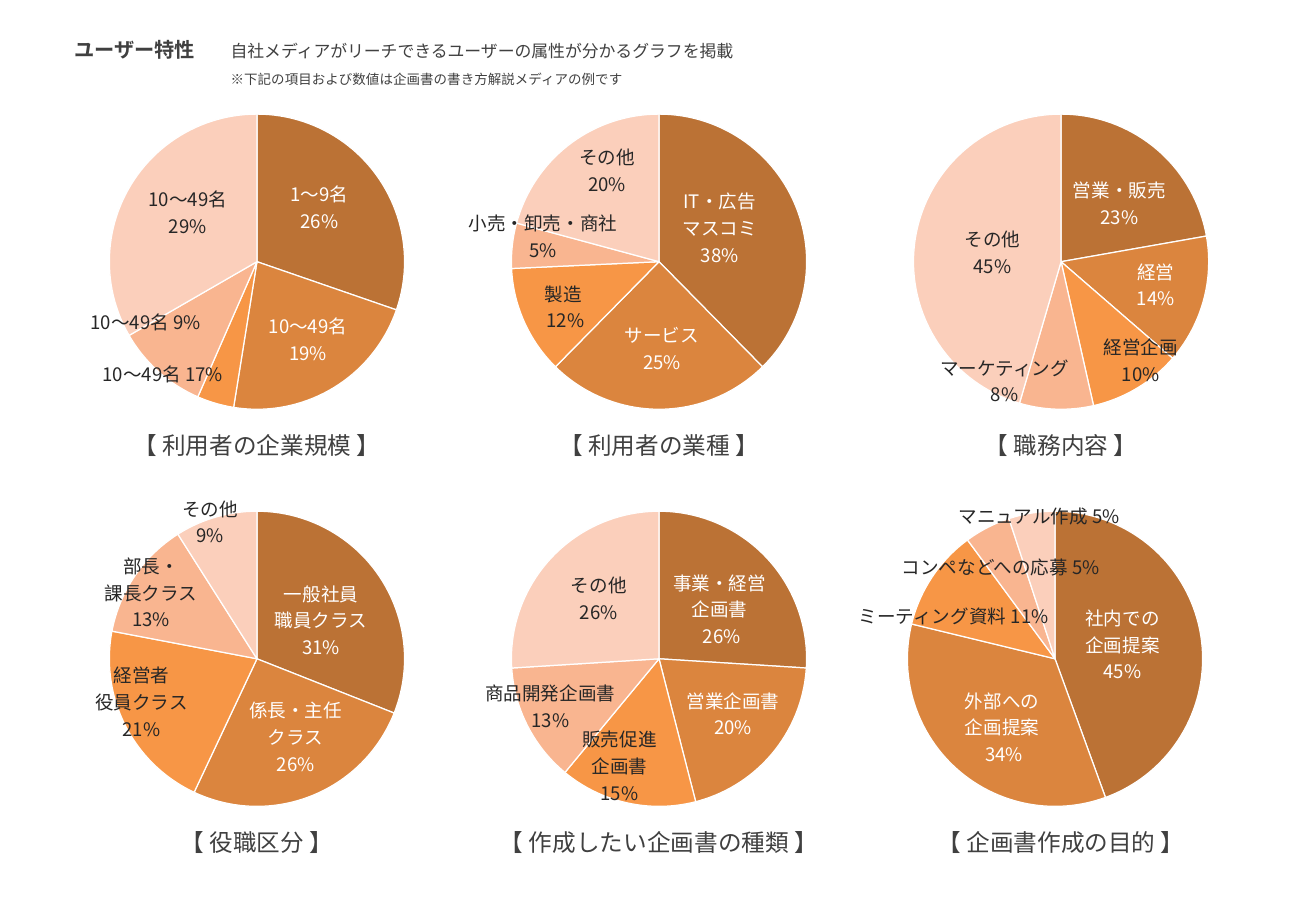
from lxml import etree
from pptx import Presentation
from pptx.chart.data import CategoryChartData
from pptx.dml.color import RGBColor
from pptx.enum import chart, text
from pptx.oxml import ns
from pptx.util import Pt

FONT = "Noto Sans CJK JP"
COLORS = {"heading": "404040", "light": "FFFFFF", "dark": "262626"}
SLICES = ["BB7235", "DB853E", "F79646", "F9B590", "FBCFBB"]

TITLE = "ユーザー特性"
LEAD = "自社メディアがリーチできるユーザーの属性が分かるグラフを掲載"
NOTE = "※下記の項目および数値は企画書の書き方解説メディアの例です"

# caption, slice values, labels as (lines, left, top, width)
PIES = [
    ("【 利用者の企業規模 】", [30, 22, 4, 10, 33], [
        (["1〜9名", "26%"], 164.2, 102.2, 50.4),
        (["10〜49名", "19%"], 150.5, 180.7, 64.1),
        (["10〜49名 17%"], 49.7, 208.8, 93.6),
        (["10〜49名 9%"], 43.2, 177.8, 86.4),
        (["10〜49名", "29%"], 79.2, 105.1, 64.1)]),
    ("【 利用者の業種 】", [38, 25, 12, 5, 21], [
        (["IT・広告", "マスコミ", "38%"], 396.7, 106.6, 59.8),
        (["サービス", "25%"], 362.9, 185.8, 59),
        (["製造 ", "12%"], 315.4, 161.3, 39.6),
        (["小売・卸売・商社", "5%"], 270, 119.5, 103.7),
        (["その他", "20%"], 336.2, 80.6, 47.5)]),
    ("【 職務内容 】", [22, 14, 10, 8, 45], [
        (["営業・販売", "23%"], 628.6, 100.1, 69.8),
        (["経営", "14%"], 665.3, 148.3, 39.6),
        (["経営企画 ", "10%"], 646.6, 193, 59),
        (["マーケティング", "8%"], 549.4, 205.2, 92.2),
        (["その他", "45%"], 564.5, 128.9, 47.5)]),
    ("【 役職区分 】", [31, 26, 21, 13, 9], [
        (["一般社員", "職員クラス", "31%"], 155.5, 339.1, 69.8),
        (["係長・主任", "クラス", "26%"], 140.4, 408.2, 69.8),
        (["経営者", "役員クラス", "21%"], 49, 387.4, 69.8),
        (["部長・", "課長クラス", "13%"], 54.7, 322.6, 69.8),
        (["その他", "9%"], 100.8, 288.7, 47.5)]),
    ("【 作成したい企画書の種類 】", [26, 20, 15, 13, 26], [
        (["事業・経営", "企画書", " 26%"], 391.7, 332.6, 69.8),
        (["営業企画書", "20%"], 399.6, 402.5, 69.8),
        (["販売促進", "企画書", "15%"], 337.7, 425.5, 59),
        (["商品開発企画書", "13%"], 280.1, 398.2, 92.2),
        (["その他", "26%"], 331.2, 334.1, 47.5)]),
    ("【 企画書作成の目的 】", [44, 34, 11, 5, 5], [
        (["社内での", "企画提案", "45%"], 635.8, 353.5, 59),
        (["外部への", "企画提案", " 34%"], 564.5, 402.5, 59),
        (["ミーティング資料 11%"], 499.7, 352.1, 131),
        (["コンペなどへの応募 5%"], 524.9, 323.3, 136.8),
        (["マニュアル作成 5%"], 558.7, 293, 114.5)]),
]

LEFT, TOP, COL_STEP, ROW_STEP = 44, 57.6, 238.3, 235.4
PIE_W, LAST_PIE_W, PIE_H, DIAMETER = 216.7, 209.5, 195.1, 175
CAPTION_DROP, CAPTION_H = 189.2, 29.5


def write(sp, lines, size, color, align=text.PP_ALIGN.LEFT, spacing=1.0,
          anchor=text.MSO_ANCHOR.MIDDLE, wrap=False, bold=False):
    tf = sp.text_frame
    tf.word_wrap = wrap
    tf.auto_size = text.MSO_AUTO_SIZE.SHAPE_TO_FIT_TEXT
    tf.vertical_anchor = anchor
    for i, line in enumerate(lines):
        p = tf.add_paragraph() if i else tf.paragraphs[0]
        p.alignment, p.line_spacing = align, spacing
        r = p.add_run()
        r.text = line
        r.font.size, r.font.bold, r.font.name = Pt(size), bold, FONT
        r.font.color.rgb = RGBColor.from_string(color)
        ea = etree.SubElement(r.font._element, ns.qn("a:ea"))
        ea.set("typeface", FONT)


def add_text(slide, box, lines, size, color, **style):
    sp = slide.shapes.add_textbox(*map(Pt, box))
    write(sp, lines, size, color, **style)


def fix_plot_area(pie, width):
    """Centre a plot area of the pie's diameter in the chart frame."""
    area = pie._chartSpace.chart.plotArea
    for old in area.findall(ns.qn("c:layout")):
        area.remove(old)
    layout = etree.Element(ns.qn("c:layout"))
    area.insert(0, layout)
    manual = etree.SubElement(layout, ns.qn("c:manualLayout"))
    w, h = DIAMETER / width, DIAMETER / PIE_H
    for tag, val in [("layoutTarget", "inner"), ("xMode", "edge"),
                     ("yMode", "edge"), ("x", (1 - w) / 2),
                     ("y", (1 - h) / 2), ("w", w), ("h", h)]:
        etree.SubElement(manual, ns.qn("c:" + tag)).set("val", str(val))


def add_pie(slide, left, top, width, values):
    data = CategoryChartData()
    data.categories = [str(n) for n in range(1, len(values) + 1)]
    data.add_series("Series 1", values)
    pie = slide.shapes.add_chart(chart.XL_CHART_TYPE.PIE, Pt(left), Pt(top),
                                 Pt(width), Pt(PIE_H), data).chart
    pie.has_legend = pie.has_title = False
    pie.font.size, pie.font.name = Pt(18), "Calibri"
    pie.plots[0].vary_by_categories = True
    for i, color in enumerate(SLICES):
        fmt = pie.plots[0].series[0].points[i].format
        fmt.fill.solid()
        fmt.fill.fore_color.rgb = RGBColor.from_string(color)
        fmt.line.color.rgb = RGBColor.from_string(COLORS["light"])
        fmt.line.width = Pt(0.75)
    fix_plot_area(pie, width)


def main():
    prs = Presentation()
    prs.slide_width, prs.slide_height = Pt(780), Pt(540)
    slide = prs.slides.add_slide(prs.slide_layouts[5])

    title = slide.shapes.title
    title.left, title.top, title.width, title.height = map(
        Pt, (36.7, 18.7, 87.1, 21.6))
    write(title, [TITLE], 12, COLORS["heading"],
          anchor=text.MSO_ANCHOR.TOP, bold=True)
    add_text(slide, (129.6, 20.2, 327.6, 19.4), [LEAD], 10, COLORS["heading"])
    add_text(slide, (129.6, 38.2, 313.2, 17.3), [NOTE], 8, COLORS["heading"],
             wrap=True)

    center = text.PP_ALIGN.CENTER
    for n, (caption, values, labels) in enumerate(PIES):
        row, col = divmod(n, 3)
        left, top = LEFT + col * COL_STEP, TOP + row * ROW_STEP
        width = LAST_PIE_W if n == len(PIES) - 1 else PIE_W
        add_pie(slide, left, top, width, values)
        add_text(slide, (left, top + CAPTION_DROP, PIE_W, CAPTION_H),
                 [caption], 14, COLORS["heading"], align=center, spacing=1.3,
                 anchor=text.MSO_ANCHOR.TOP, wrap=True)
        for i, (lines, x, y, w) in enumerate(labels):
            color = COLORS["light" if i < 2 else "dark"]
            add_text(slide, (x, y, w, 7.2 + 15.84 * len(lines)), lines, 11,
                     color, align=center, spacing=1.2)

    prs.save("out.pptx")


if __name__ == "__main__":
    main()
